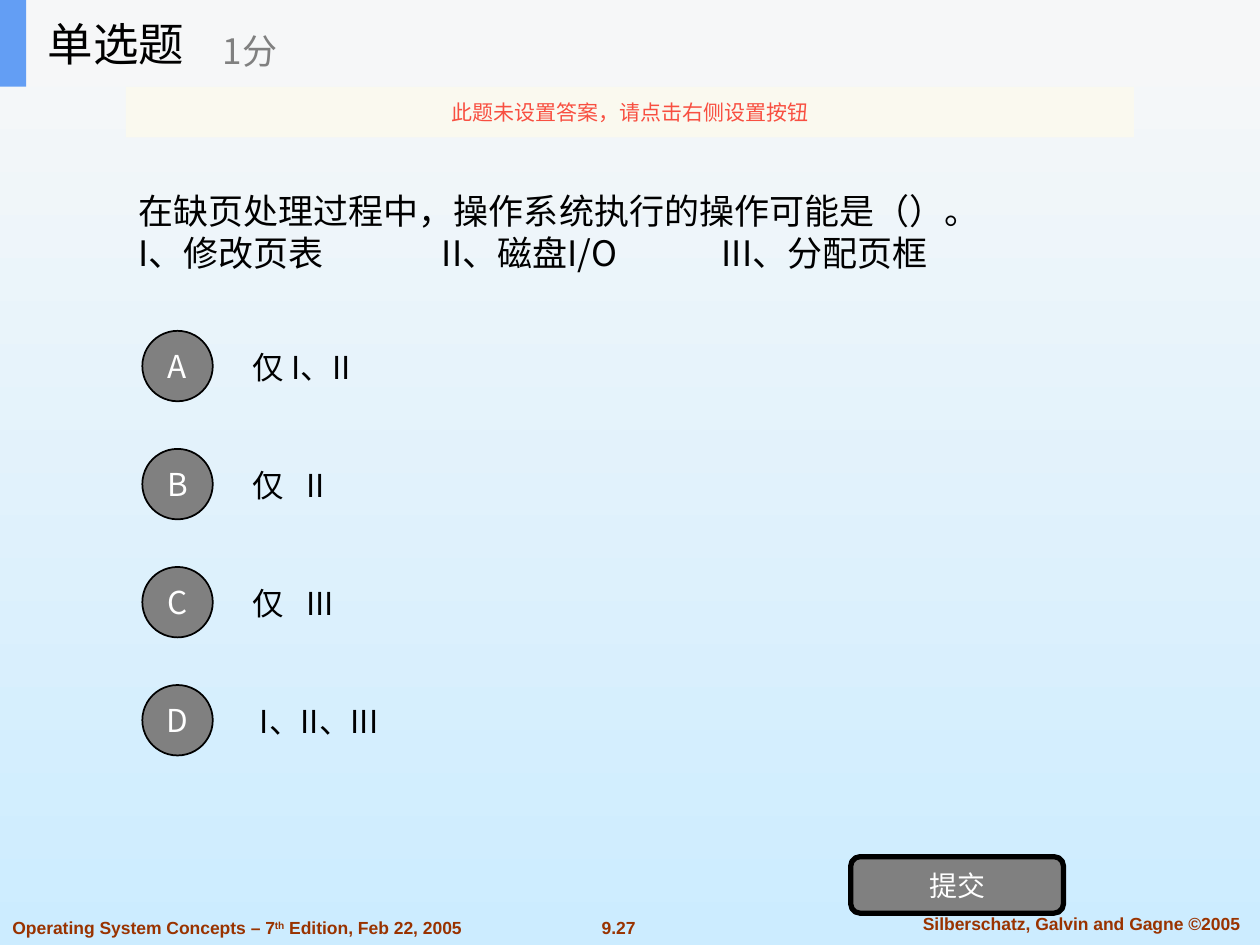
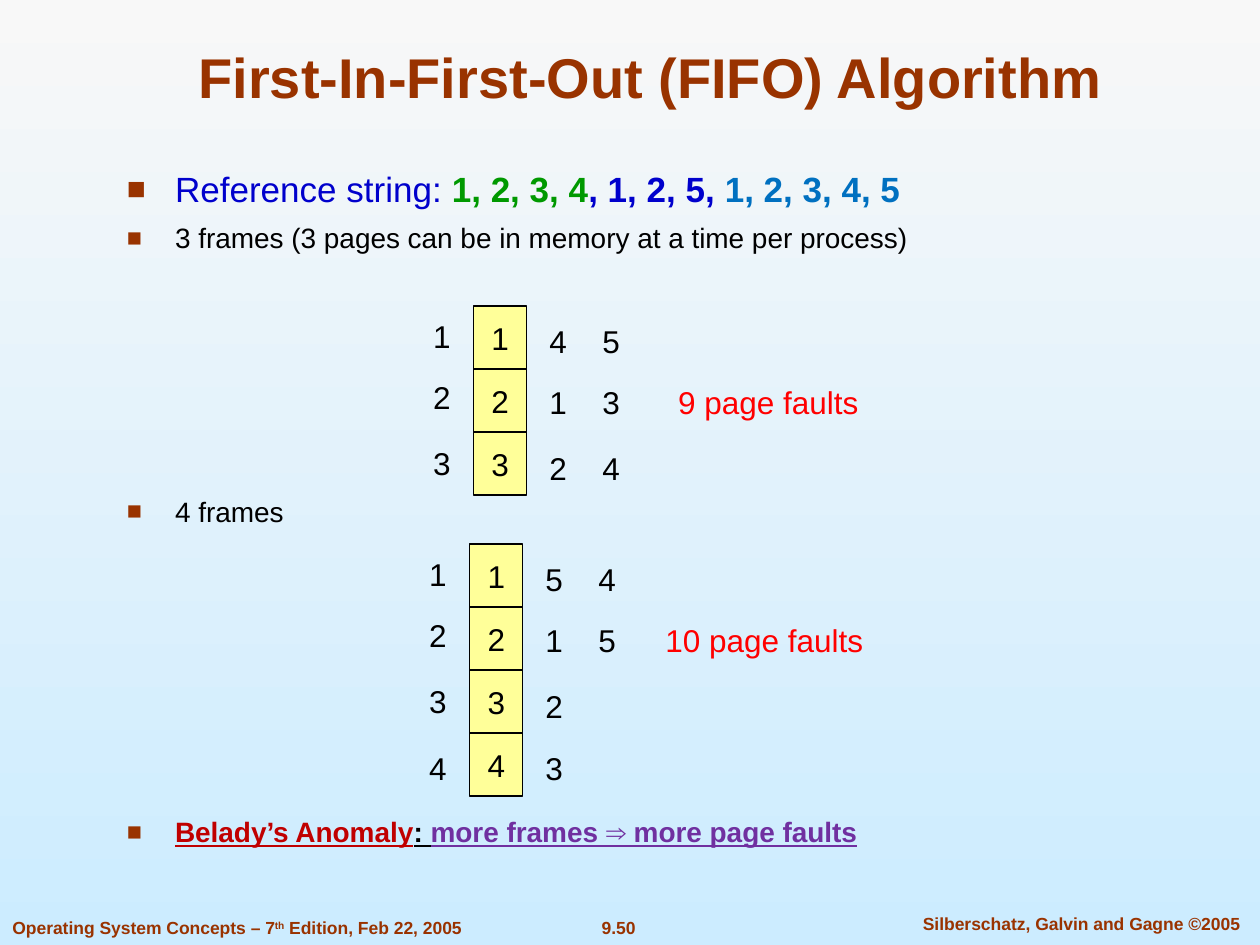
from pptx import Presentation
from pptx import util as u
from pptx.dml.color import RGBColor
from pptx.enum import shapes, text
from pptx.oxml.ns import qn
from lxml import etree

Cm, Pt = u.Cm, u.Pt
LEFT, CENTER = text.PP_ALIGN.LEFT, text.PP_ALIGN.CENTER
TOP, MIDDLE, BOTTOM = (text.MSO_ANCHOR.TOP, text.MSO_ANCHOR.MIDDLE,
                       text.MSO_ANCHOR.BOTTOM)
RECT = shapes.MSO_SHAPE.RECTANGLE
LATIN, CHINESE = "Arial", "Noto Sans CJK SC"
COLORS = {
    "sky_top": "F8F8F8", "sky_bottom": "CCECFF", "rust": "993300",
    "black": "000000", "white": "FFFFFF", "gray": "808080",
    "band": "F6F7F8", "accent": "639EF4", "hint": "FBFAEF",
    "hint_text": "F84F41", "frame": "FFFF99", "red": "FF0000",
    "blue": "0000CC", "green": "009900", "azure": "0070C0",
    "crimson": "C00000", "purple": "7030A0",
}


def rgb(name):
    return RGBColor.from_string(COLORS[name])


def add_child(parent, tag, **attributes):
    return etree.SubElement(parent, qn(tag), attributes)


def style_font(para, size, color, font=LATIN, bold=False):
    para.font.size = Pt(size)
    para.font.name = font
    para.font.bold = bold
    para.font.color.rgb = rgb(color)
    defaults = para._p.get_or_add_pPr().find(qn("a:defRPr"))
    add_child(defaults, "a:ea", typeface=font)


def set_tabs(para, stops):
    tabs = add_child(para._p.get_or_add_pPr(), "a:tabLst")
    for stop in stops:
        add_child(tabs, "a:tab", pos=str(Cm(stop)), algn="l")


def write(shape, lines, size, color, font=LATIN, bold=False, align=CENTER,
          anchor=MIDDLE, tabs=()):
    """Fill a shape with evenly styled lines, one paragraph each."""
    frame = shape.text_frame
    frame.word_wrap = True
    frame.auto_size = text.MSO_AUTO_SIZE.NONE
    frame.vertical_anchor = anchor
    for index, line in enumerate(lines.split("\n")):
        para = frame.paragraphs[0] if index == 0 else frame.add_paragraph()
        para.alignment = align
        if tabs:
            set_tabs(para, tabs)
        para.add_run().text = line
        style_font(para, size, color, font, bold)
    return shape


def add_text(page, box, lines, size, color, **style):
    shape = page.shapes.add_textbox(*map(Cm, box))
    return write(shape, lines, size, color, **style)


def add_block(page, kind, box, fill, line_width=0):
    block = page.shapes.add_shape(kind, *map(Cm, box))
    block.shadow.inherit = False
    block.fill.solid()
    block.fill.fore_color.rgb = rgb(fill)
    if line_width:
        block.line.color.rgb = rgb("black")
        block.line.width = Pt(line_width)
    else:
        block.line.fill.background()
    return block


def set_title(page, box, words, size, color, **style):
    title = page.shapes.title
    title.left, title.top, title.width, title.height = map(Cm, box)
    return write(title, words, size, color, **style)


def add_footer(page, number):
    style = dict(size=10, color="rust", bold=True, anchor=TOP)
    add_text(page, (11.4, 18.36, 2.14, 0.69), number, **style)
    add_text(page, (18.03, 18.29, 7.54, 0.69),
             "Silberschatz, Galvin and Gagne ©2005", **style)
    book = add_text(page, (0, 18.36, 9.8, 0.69),
                    "Operating System Concepts – 7", align=LEFT, **style)
    para = book.text_frame.paragraphs[0]
    ordinal = para.add_run()
    ordinal.text = "th"
    ordinal._r.get_or_add_rPr().set("baseline", "30000")
    para.add_run().text = " Edition, Feb 22, 2005"


def add_quiz_header(page, box, name, score):
    left, top, width, height = box
    band = add_block(page, RECT, box, "band")
    add_block(page, RECT, (left, top, 0.53, height), "accent")
    title = set_title(page, (left + 0.71, top, 3.6, height), name, 26,
                      "black", font=CHINESE, align=LEFT)
    title.element.addprevious(band.element)
    add_text(page, (left + 4.24, top + 0.3, 6.35, height - 0.33), score, 20,
             "gray", font=CHINESE, align=LEFT)


def add_hint(page, box, words):
    hint = add_block(page, RECT, box, "hint")
    color = hint.fill._xPr.find(qn("a:solidFill"))[0]
    add_child(color, "a:alpha", val="90000")
    write(hint, words, 12, "hint_text", font=CHINESE)


def add_options(page, left, top, pitch, options):
    """Stack lettered circles, each with its answer and a small indent."""
    for row, (letter, answer, indent) in enumerate(options):
        y = top + row * pitch
        circle = add_block(page, shapes.MSO_SHAPE.OVAL,
                           (left, y, 1.42, 1.42), "gray", 1)
        circle.text_frame.margin_left = circle.text_frame.margin_right = 0
        write(circle, letter, 18, "white", font=CHINESE)
        add_text(page, (left + 1.98 + indent, y - 0.17, 17.78, 1.78), answer,
                 18, "black", font=CHINESE, align=LEFT, tabs=[1.07])


def add_frames(page, left, top, count, columns, faults):
    """Draw memory frames, their numbers, later contents and fault count."""
    cell_width, cell_height = 1.07, 1.27
    label_width, label_height = 0.86, 1.02
    number_centres = (0.61, 1.83, 3.16, 4.52)
    later_centres = (0.71, 1.94, 3.26, 4.52)

    def add_label(x, centre, words, color="black", width=label_width):
        label = add_text(page, (left + x, top + centre - label_height / 2,
                                width, label_height), words, 18, color)
        label.text_frame.margin_left = label.text_frame.margin_right = 0

    for row in range(count):
        number = str(row + 1)
        cell = add_block(page, RECT, (left, top + row * cell_height,
                                      cell_width, cell_height), "frame", 0.75)
        cell.text_frame.margin_left = cell.text_frame.margin_right = 0
        write(cell, number, 18, "black")
        add_label(-cell_width, number_centres[row], number)
    for column, entries in enumerate(columns):
        for entry, centre in zip(entries, later_centres):
            add_label(1.27 + column * cell_width, centre, entry)
    add_label(3.44, later_centres[1], faults, "red", 5)


def add_bullets(page, box, items):
    """Items hold space before, size and (words, colour, bold, underline)."""
    frame = page.shapes.add_textbox(*map(Cm, box)).text_frame
    frame.word_wrap = True
    for index, (space, size, spans) in enumerate(items):
        para = frame.paragraphs[0] if index == 0 else frame.add_paragraph()
        para.space_before = Pt(space)
        props = para._p.get_or_add_pPr()
        props.set("marL", str(Cm(0.97)))
        props.set("indent", str(-Cm(0.97)))
        add_child(add_child(props, "a:buClr"), "a:srgbClr",
                  val=COLORS["rust"])
        add_child(props, "a:buSzPct", val="90000")
        add_child(props, "a:buFont", typeface=LATIN)
        add_child(props, "a:buChar", char="■")
        style_font(para, size, "black")
        for words, color, bold, underline in spans:
            span = para.add_run()
            span.text = words
            span.font.color.rgb = rgb(color)
            span.font.bold = bold
            span.font.underline = underline


def build_quiz(page):
    add_footer(page, "9.27")
    add_text(page, (2.54, 2.36, 19.99, 4.6),
             "在缺页处理过程中，操作系统执行的操作可能是（）。\n"
             "I、修改页表\tII、磁盘I/O\tIII、分配页框",
             20, "black", font=CHINESE, align=LEFT, tabs=[6.12, 11.76])
    add_options(page, 2.87, 6.67, 2.38, [
        ("A", "仅 I、II", 0), ("B", "仅\tII", 0),
        ("C", "仅\tIII", 0), ("D", "I、II、III", 0.14)])
    button = add_block(page, shapes.MSO_SHAPE.ROUNDED_RECTANGLE,
                       (17.15, 17.27, 4.29, 1.14), "gray", 3)
    write(button, "提交", 16, "white", font=CHINESE)
    add_quiz_header(page, (0, 0, 25.4, 1.75), "单选题", "1分")
    add_hint(page, (2.54, 1.75, 20.32, 1.02),
             "此题未设置答案，请点击右侧设置按钮")


def build_fifo(page):
    add_footer(page, "9.50")
    set_title(page, (1.9, 0.64, 22.43, 1.7),
              "First-In-First-Out (FIFO) Algorithm", 32, "rust", bold=True,
              anchor=BOTTOM)
    add_bullets(page, (2.31, 3.25, 19.53, 14.5), [
        (0, 20, [("Reference string: ", "blue", False, False),
                 ("1, 2, 3, 4", "green", True, False),
                 (", 1, 2, 5, ", "blue", True, False),
                 ("1, 2, 3, 4, 5", "azure", True, False)]),
        (6.5, 16, [("3 frames (3 pages can be in memory at a time per "
                    "process)", "black", False, False)]),
        (137, 16, [("4 frames", "black", False, False)]),
        (164, 16, [("Belady’s Anomaly", "crimson", True, True),
                   (": ", "black", True, True),
                   ("more frames ⇒ more page faults", "purple", True, True)]),
    ])
    add_frames(page, 9.55, 6.17, 3, ["412", "534"], "9 page faults")
    add_frames(page, 9.47, 10.97, 4, ["5123", "45"], "10 page faults")


def main():
    deck = Presentation()
    deck.slide_width, deck.slide_height = Cm(25.4), Cm(19.05)
    sky = deck.slide_master.background.fill
    sky.gradient()
    sky.gradient_angle = 270
    for stop, color in zip(sky.gradient_stops, ("sky_top", "sky_bottom")):
        stop.color.rgb = rgb(color)
    title_only = deck.slide_layouts[5]
    for build in (build_quiz, build_fifo):
        build(deck.slides.add_slide(title_only))
    deck.save("out.pptx")


if __name__ == "__main__":
    main()
